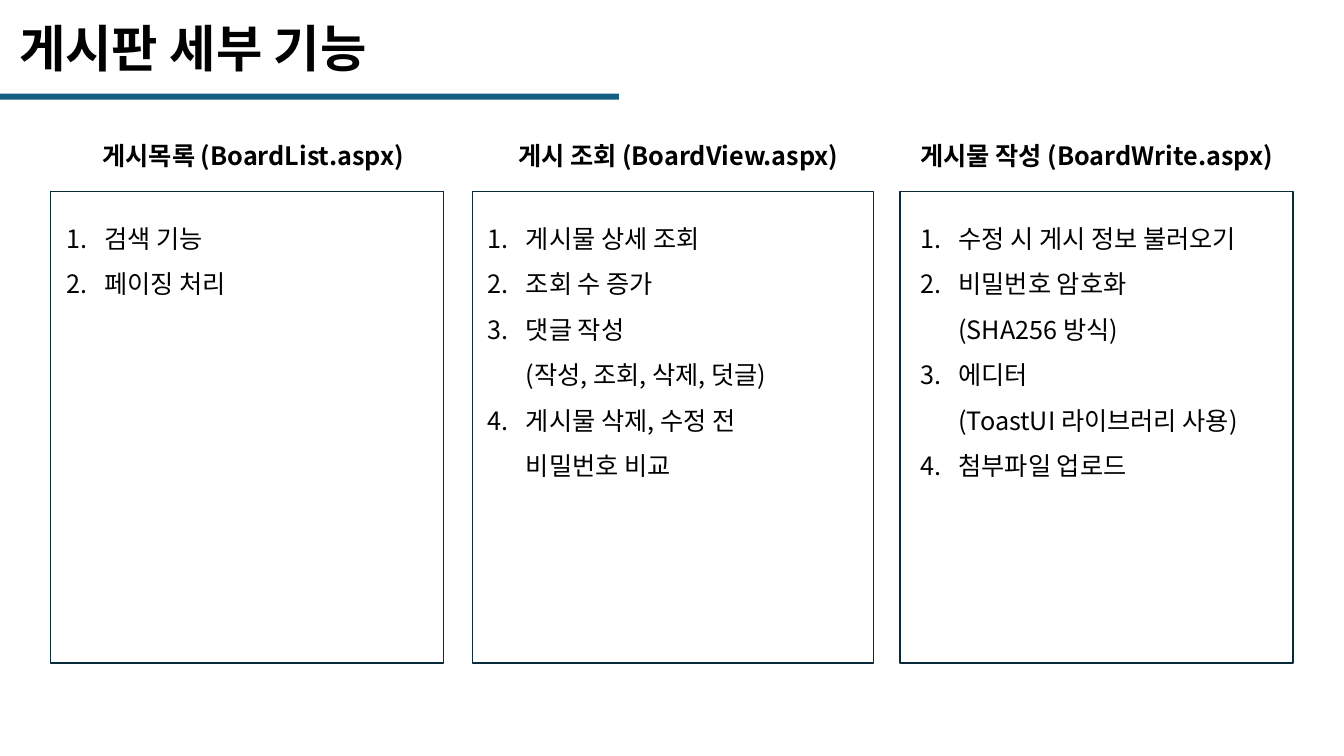
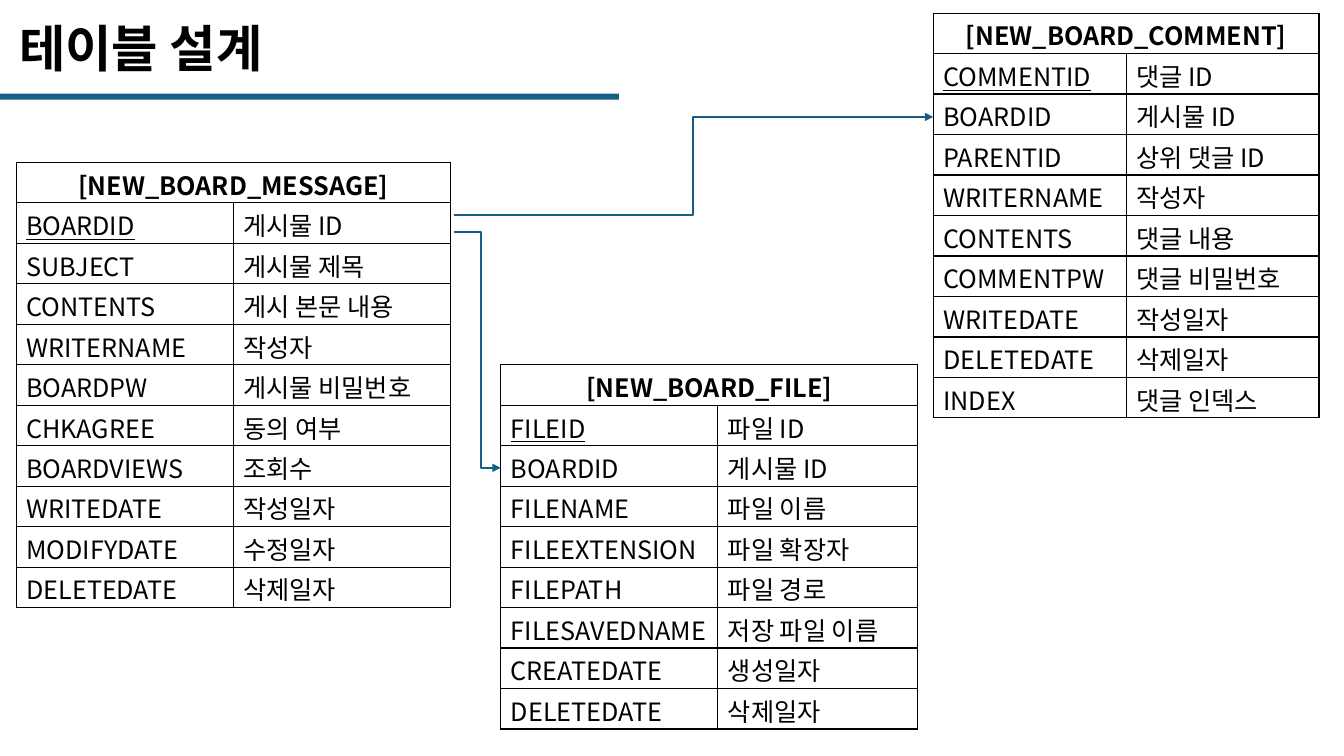
"""Build two slides: the board features and the table design."""
from lxml import etree
from pptx import Presentation
from pptx import util as u
from pptx.dml import color
from pptx.enum import shapes, text
from pptx.oxml import ns

Cm, Pt = u.Cm, u.Pt
BLACK = color.RGBColor(0x00, 0x00, 0x00)
TEAL = color.RGBColor(0x15, 0x60, 0x82)
NAVY = color.RGBColor(0x09, 0x2A, 0x39)
FONT = "Noto Sans CJK KR"
ROW_HEIGHT = Cm(1.02)

COLUMNS = [
    (1.27, 9.91, 1.9, 8.97, 1.42, "게시목록 (BoardList.aspx)",
     ["검색 기능", "페이징 처리"]),
    (11.91, 10.11, 12.04, 10.11, 12.04, "게시 조회 (BoardView.aspx)",
     ["게시물 상세 조회", "조회 수 증가", "댓글 작성\v(작성, 조회, 삭제, 덧글)",
      "게시물 삭제, 수정 전\v비밀번호 비교"]),
    (22.68, 9.91, 22.68, 9.91, 22.94, "게시물 작성 (BoardWrite.aspx)",
     ["수정 시 게시 정보 불러오기", "비밀번호 암호화\v(SHA256 방식)",
      "에디터\v(ToastUI 라이브러리 사용)", "첨부파일 업로드"]),
]

TABLES = [
    ("[NEW_BOARD_MESSAGE]", 0.41, 4.09, (5.47, 5.47), [
        ("BOARDID", "게시물 ID"), ("SUBJECT", "게시물 제목"),
        ("CONTENTS", "게시 본문 내용"), ("WRITERNAME", "작성자"),
        ("BOARDPW", "게시물 비밀번호"), ("CHKAGREE", "동의 여부"),
        ("BOARDVIEWS", "조회수"), ("WRITEDATE", "작성일자"),
        ("MODIFYDATE", "수정일자"), ("DELETEDATE", "삭제일자")]),
    ("[NEW_BOARD_COMMENT]", 23.52, 0.33, (4.86, 4.86), [
        ("COMMENTID", "댓글 ID"), ("BOARDID", "게시물 ID"),
        ("PARENTID", "상위 댓글 ID"), ("WRITERNAME", "작성자"),
        ("CONTENTS", "댓글 내용"), ("COMMENTPW", "댓글 비밀번호"),
        ("WRITEDATE", "작성일자"), ("DELETEDATE", "삭제일자"),
        ("INDEX", "댓글 인덱스")]),
    ("[NEW_BOARD_FILE]", 12.62, 9.19, (5.47, 5.04), [
        ("FILEID", "파일 ID"), ("BOARDID", "게시물 ID"),
        ("FILENAME", "파일 이름"), ("FILEEXTENSION", "파일 확장자"),
        ("FILEPATH", "파일 경로"), ("FILESAVEDNAME", "저장 파일 이름"),
        ("CREATEDATE", "생성일자"), ("DELETEDATE", "삭제일자")]),
]

LINKS = [
    (11.43, 5.41, 23.52, 2.95, 50000),
    (11.43, 5.84, 12.62, 11.79, 58000),
]


def format_runs(p, size=18, bold=False, underline=False):
    for r in p.runs:
        r.font.size, r.font.bold, r.font.underline = Pt(size), bold, underline
        r.font.color.rgb = BLACK
        r.font.name = FONT
        etree.SubElement(r.font._element, ns.qn("a:ea"), typeface=FONT)


def place(sp, left, top, width, height):
    sp.left, sp.top, sp.width, sp.height = map(Cm, (left, top, width, height))


prs = Presentation()
prs.slide_width, prs.slide_height = Cm(33.87), Cm(19.05)

slides = []
for layout, title in [(1, "게시판 세부 기능"), (5, "테이블 설계")]:
    s = prs.slides.add_slide(prs.slide_layouts[layout])
    sp = s.shapes.title
    place(sp, 0.23, 0.3, 15.6, 1.8)
    tf = sp.text_frame
    tf.text = title
    tf.auto_size = text.MSO_AUTO_SIZE.NONE
    tf.vertical_anchor = text.MSO_ANCHOR.MIDDLE
    tf.paragraphs[0].alignment = text.PP_ALIGN.LEFT
    format_runs(tf.paragraphs[0], 36, True)
    bar = s.shapes.add_shape(shapes.MSO_SHAPE.RECTANGLE, 0, Cm(2.36), Cm(15.6), Cm(0.15))
    bar.shadow.inherit = False
    bar.fill.solid()
    bar.fill.fore_color.rgb = TEAL
    bar.line.fill.background()
    slides.append(s)
features, design = slides

body_layout = features.slide_layout.placeholders[1]
bodies = [features.placeholders[1]]
while len(bodies) < len(COLUMNS):
    features.shapes.clone_placeholder(body_layout)
    bodies.append(features.shapes[-1])

for body, column in zip(bodies, COLUMNS):
    left, width, head_left, head_width, list_left, heading, items = column
    box = features.shapes.add_shape(
        shapes.MSO_SHAPE.RECTANGLE, Cm(left), Cm(4.83), Cm(width), Cm(11.88))
    box.shadow.inherit = False
    box.fill.background()
    box.line.color.rgb = NAVY
    box.line.width = Pt(1)

    tf = features.shapes.add_textbox(
        Cm(head_left), Cm(3.4), Cm(head_width), Cm(1.02)).text_frame
    tf.word_wrap = True
    tf.vertical_anchor = text.MSO_ANCHOR.MIDDLE
    tf.text = heading
    tf.paragraphs[0].alignment = text.PP_ALIGN.CENTER
    format_runs(tf.paragraphs[0], bold=True)

    place(body, list_left, 5.11, 9.91, 7.04)
    tf = body.text_frame
    tf.auto_size = text.MSO_AUTO_SIZE.NONE
    tf.vertical_anchor = text.MSO_ANCHOR.TOP
    for i, item in enumerate(items):
        p = tf.add_paragraph() if i else tf.paragraphs[0]
        p.text = item
        p.line_spacing = Pt(32.5)
        p.space_before = Pt(0)
        format_runs(p)
        pPr = p._p.get_or_add_pPr()
        pPr.set("marL", str(Cm(0.96)))
        pPr.set("indent", str(-Cm(0.96)))
        etree.SubElement(pPr, ns.qn("a:buFont"), typeface="+mj-lt")
        etree.SubElement(pPr, ns.qn("a:buAutoNum"), type="arabicPeriod")

for name, left, top, widths, fields in TABLES:
    rows = [(name, "")] + fields
    table = design.shapes.add_table(
        len(rows), 2, Cm(left), Cm(top), Cm(sum(widths)), ROW_HEIGHT * len(rows)).table
    table.first_row = table.horz_banding = False
    for col, width in zip(table.columns, widths):
        col.width = Cm(width)
    for i, row in enumerate(rows):
        table.rows[i].height = ROW_HEIGHT
        for j, value in enumerate(row):
            cell = table.cell(i, j)
            cell.text = value
            cell.margin_top, cell.margin_bottom = Cm(0.09), 0
            p = cell.text_frame.paragraphs[0]
            format_runs(p, bold=i == 0, underline=(i, j) == (1, 0))
            if i == 0:
                p.alignment = text.PP_ALIGN.CENTER
            tcPr = cell._tc.get_or_add_tcPr()
            for side in ("lnL", "lnR", "lnT", "lnB"):
                ln = etree.SubElement(tcPr, ns.qn("a:" + side), w=str(Pt(1)))
                fill = etree.SubElement(ln, ns.qn("a:solidFill"))
                etree.SubElement(fill, ns.qn("a:srgbClr"), val=str(BLACK))
            cell.fill.background()
    table.cell(0, 0).merge(table.cell(0, 1))

for x1, y1, x2, y2, bend in LINKS:
    link = design.shapes.add_connector(
        shapes.MSO_CONNECTOR.ELBOW, Cm(x1), Cm(y1), Cm(x2), Cm(y2))
    link.line.color.rgb = TEAL
    link.line.width = Pt(1.5)
    spPr = link._element.spPr
    etree.SubElement(spPr.find(ns.qn("a:ln")), ns.qn("a:tailEnd"), type="triangle")
    etree.SubElement(spPr, ns.qn("a:effectLst"))
    guides = spPr.find(ns.qn("a:prstGeom")).find(ns.qn("a:avLst"))
    etree.SubElement(guides, ns.qn("a:gd"), name="adj1", fmla=f"val {bend}")

prs.save("out.pptx")
